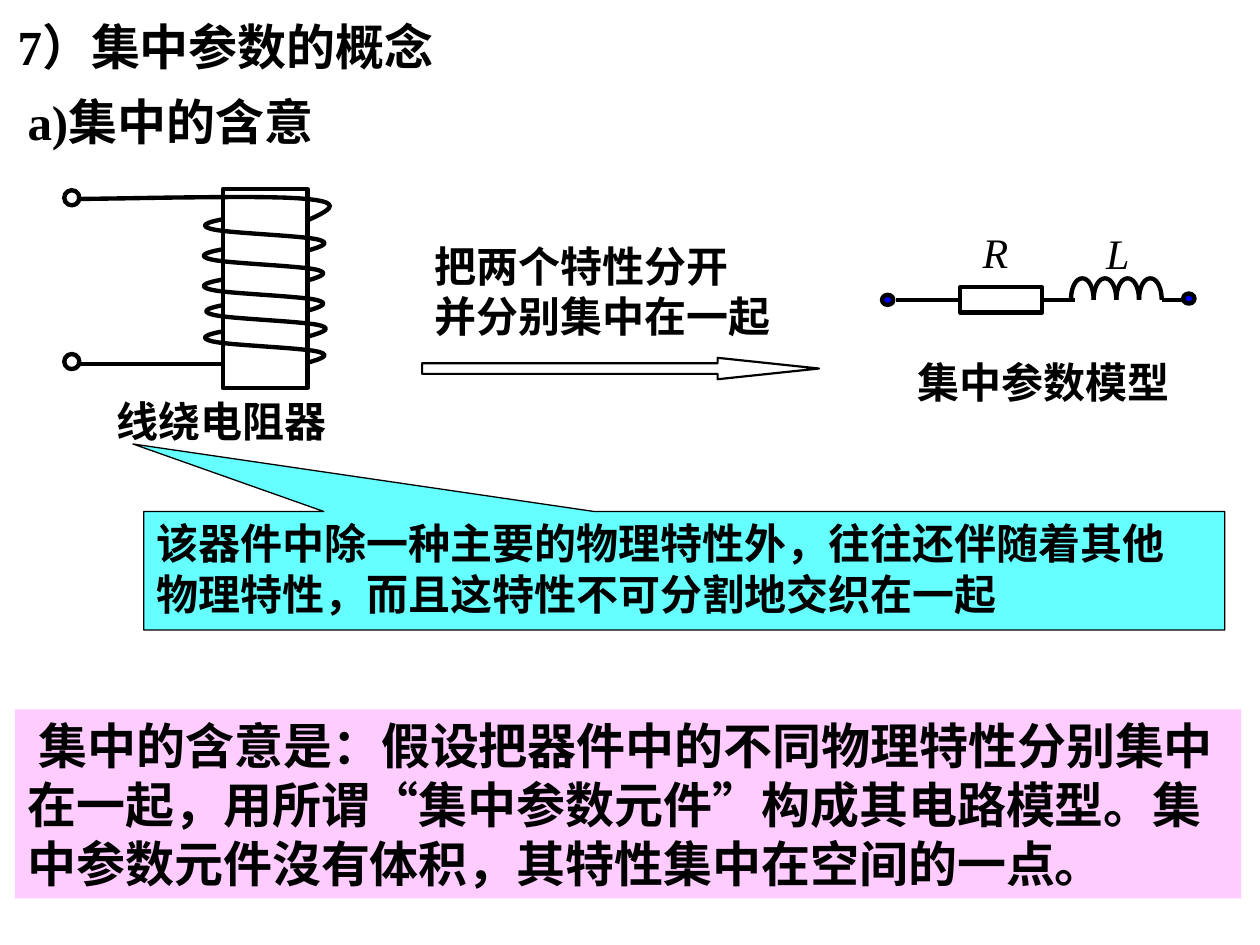
"""Build the slide on the idea of lumped circuit parameters."""
from dataclasses import dataclass
from typing import Optional

from lxml import etree
from pptx import Presentation
from pptx import util as u
from pptx.dml.color import RGBColor
from pptx.enum import shapes, text
from pptx.oxml.ns import qn

PX = 9144
KIND = shapes.MSO_SHAPE


@dataclass(frozen=True)
class Theme:
    font: str = "Times New Roman"
    ink: str = "000000"
    blue: str = "0000FF"
    cyan: str = "66FFFF"
    pink: str = "FFCCFF"
    head: int = 28
    body: int = 24
    thick: float = 2.5
    mid: float = 1.25
    thin: float = 0.75


@dataclass(frozen=True)
class Label:
    words: str
    box: tuple
    size: int
    wrap: bool = True
    bold: bool = True


@dataclass(frozen=True)
class Form:
    kind: KIND
    box: tuple
    fill: Optional[str] = None
    width: float = 2.5
    turns: tuple = ()


THEME = Theme()

LABELS = [
    Label("a)集中的含意", (12, 68, 268, 57), THEME.head),
    Label("R", (770, 175, 40, 50), THEME.body, False, False),
    Label("L", (868, 176, 38, 50), THEME.body, False, False),
    Label("集中参数模型", (718, 278, 231, 50), THEME.body),
    Label("线绕电阻器", (83, 309, 200, 50), THEME.body),
    Label("把两个特性分开\n并分别集中在一起", (335, 186, 311, 90), THEME.body),
]
FORMS = [
    Form(KIND.RECTANGLE, (177, 150, 67, 158)),
    Form(KIND.OVAL, (51, 281, 12, 12)),
    Form(KIND.OVAL, (51, 151, 12, 12)),
    Form(KIND.OVAL, (700, 234, 9, 8), THEME.blue),
    Form(KIND.OVAL, (939, 233, 9, 8), THEME.blue),
    Form(KIND.RIGHT_ARROW, (335, 284, 315, 17), None, THEME.mid, (0.5, 4.73)),
]
RESIST = Form(KIND.RECTANGLE, (762, 228, 65, 20))
CALL = Form(KIND.RECTANGULAR_CALLOUT, (114, 406, 858, 94), THEME.cyan,
            THEME.thin, (-0.51, -1.07))
NOTE = Form(KIND.RECTANGLE, (12, 563, 973, 150), THEME.pink, 0)

LEAD = [(61, 158), (137, 157), (214, 155), (244, 158),
        (275, 161), (259, 168), (244, 175)]
TURN = [(0, 0), (-11, 2), (-21, 5), (-8, 8), (4, 11),
        (62, 13), (75, 16), (87, 19), (77, 22), (67, 25)]
STARTS = [(177, 174), (176, 198), (176, 222), (178, 242), (177, 263)]
LOOP = [(0, 17), (0, 7), (4, 0), (9, 0), (14, 0), (18, 7), (18, 17)]
LOOPS = [(850 + 18 * i, 221) for i in range(4)]


def emu(box: tuple) -> list:
    """Turn px lengths into EMU."""
    return [u.Emu(round(n * PX)) for n in box]


def write(frame, words: str, size: int, bold: bool = True,
          italic: bool = False) -> None:
    """Fill a frame with left-aligned text in the theme font."""
    frame.text = words
    frame.vertical_anchor = text.MSO_ANCHOR.TOP
    for para in frame.paragraphs:
        para.alignment = text.PP_ALIGN.LEFT
        for run in para.runs:
            font = run.font
            font.name, font.size = THEME.font, u.Pt(size)
            font.bold, font.italic = bold, italic
            font.color.rgb = RGBColor.from_string(THEME.ink)


def ink(line, width: float) -> None:
    """Give a line the ink colour and a width."""
    line.color.rgb = RGBColor.from_string(THEME.ink)
    line.width = u.Pt(width)


def draw(slide, form: Form):
    """Add one preset shape."""
    shape = slide.shapes.add_shape(form.kind, *emu(form.box))
    shape.shadow.inherit = False
    for i, turn in enumerate(form.turns):
        shape.adjustments[i] = turn
    if form.fill:
        shape.fill.solid()
        shape.fill.fore_color.rgb = RGBColor.from_string(form.fill)
    else:
        shape.fill.background()
    if form.width:
        ink(shape.line, form.width)
    else:
        shape.line.fill.background()
    return shape


def label(slide, item: Label) -> None:
    """Add one text box, with symbols that are not bold in italics."""
    frame = slide.shapes.add_textbox(*emu(item.box)).text_frame
    frame.word_wrap = item.wrap
    frame.auto_size = text.MSO_AUTO_SIZE.SHAPE_TO_FIT_TEXT
    write(frame, item.words, item.size, item.bold, not item.bold)


def wire(slide, start: tuple, end: tuple):
    """Add one straight wire."""
    line = slide.shapes.add_connector(
        shapes.MSO_CONNECTOR.STRAIGHT, *emu(start + end))
    ink(line.line, THEME.thick)
    etree.SubElement(line._element.spPr, qn("a:effectLst"))
    return line


def curve(slide, knots: list, base: tuple = (0, 0), steps: int = 12) -> None:
    """Add an open chain of cubic arcs, moved by the base point."""
    points = [knots[0]]
    for i in range(0, len(knots) - 1, 3):
        for k in range(1, steps + 1):
            t = k / steps
            s = 1 - t
            parts = (s ** 3, 3 * s * s * t, 3 * s * t * t, t ** 3)
            points.append(tuple(
                sum(p * knot[axis] for p, knot in zip(parts, knots[i:i + 4]))
                for axis in (0, 1)))
    spots = [emu((x + base[0], y + base[1])) for x, y in points]
    path = slide.shapes.build_freeform(*spots[0], scale=1.0)
    path.add_line_segments(spots[1:], close=False)
    shape = path.convert_to_shape()
    shape.shadow.inherit = False
    shape.fill.background()
    ink(shape.line, THEME.thick)


def main() -> None:
    """Build and save the slide."""
    deck = Presentation()
    deck.slide_width, deck.slide_height = emu((1000, 750))
    slide = deck.slides.add_slide(deck.slide_layouts[5])
    title = slide.shapes.title
    title.left, title.top, title.width, title.height = emu((4, 8, 366, 57))
    title.text_frame.auto_size = text.MSO_AUTO_SIZE.NONE
    write(title.text_frame, "7）集中参数的概念", THEME.head)

    for form in FORMS:
        draw(slide, form)
    curve(slide, LEAD)
    for base in STARTS:
        curve(slide, TURN, base)
    for base in LOOPS:
        curve(slide, LOOP, base)

    part = draw(slide, RESIST)
    wire(slide, (711, 238), (762, 238)).end_connect(part, 1)
    wire(slide, (827, 238), (853, 238)).begin_connect(part, 3)
    wire(slide, (922, 238), (940, 238))
    wire(slide, (61, 289), (177, 289))

    for item in LABELS:
        label(slide, item)
    for form, size, words in (
            (NOTE, THEME.head, " 集中的含意是：假设把器件中的不同物理特性分别集中在一起，"
             "用所谓“集中参数元件”构成其电路模型。集中参数元件沒有体积，"
             "其特性集中在空间的一点。"),
            (CALL, THEME.body, "该器件中除一种主要的物理特性外，往往还伴随着其他 "
             "物理特性，而且这特性不可分割地交织在一起")):
        frame = draw(slide, form).text_frame
        frame.word_wrap = True
        write(frame, words, size)
    deck.save("out.pptx")


if __name__ == "__main__":
    main()
